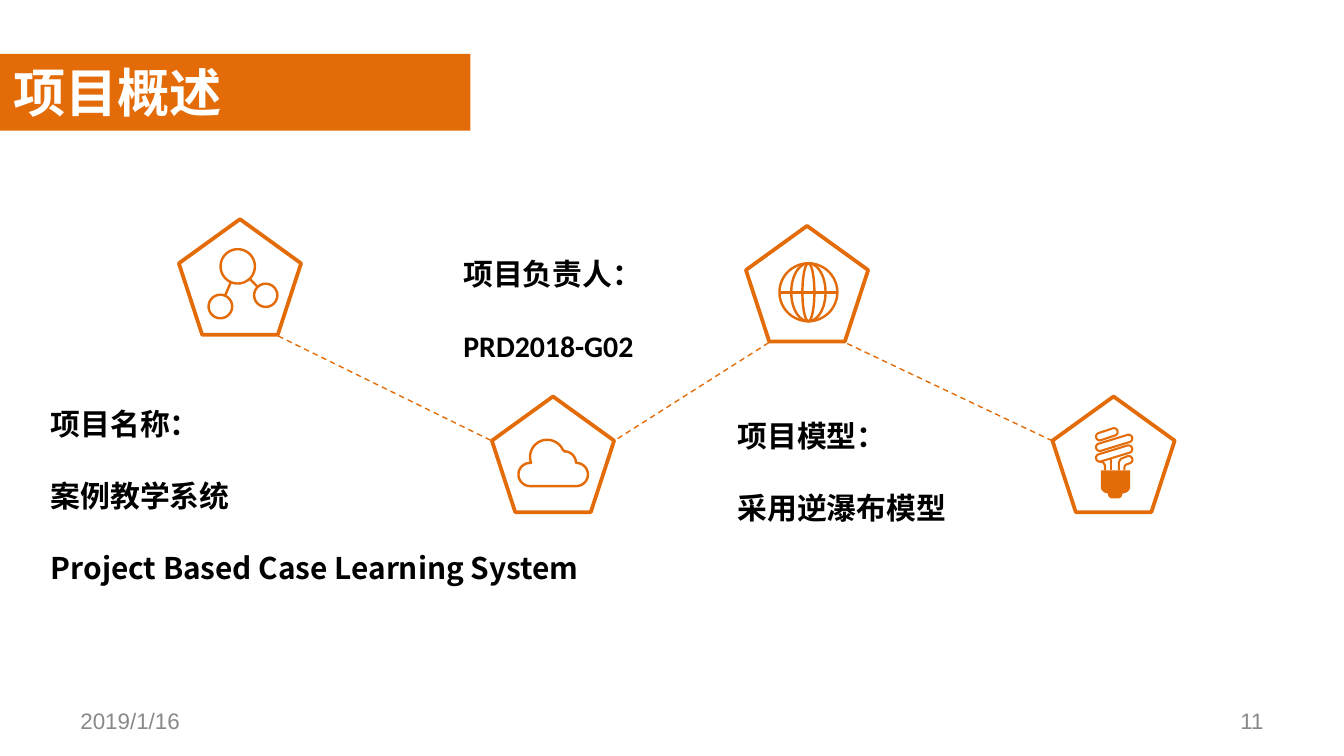
from dataclasses import dataclass
from math import atan2, cos, degrees, dist, radians, sin
from typing import NamedTuple

from lxml import etree
from pptx import Presentation
from pptx.dml.color import RGBColor
from pptx.enum.dml import MSO_LINE
from pptx.enum.shapes import MSO_CONNECTOR, MSO_SHAPE
from pptx.enum.text import MSO_ANCHOR, PP_ALIGN
from pptx.oxml.ns import qn
from pptx.util import Pt

ORANGE = RGBColor(0xE3, 0x6C, 0x09)
WHITE = RGBColor(0xFF, 0xFF, 0xFF)
BLACK = RGBColor(0x00, 0x00, 0x00)
GRAY = RGBColor(0x89, 0x89, 0x89)
PENTAGON_W, PENTAGON_H = 65.5, 62


class Point(NamedTuple):
    x: float
    y: float


class Contour(NamedTuple):
    points: list[Point]
    closed: bool = True


@dataclass
class Icon:
    left: float
    top: float
    contours: list[Contour]
    stroke: float = 1.3
    solid: Contour | None = None


@dataclass
class Label:
    left: float
    top: float
    width: float
    height: float
    lines: list[str]
    fonts: list[str]
    size: float = 16
    color: RGBColor = BLACK
    bold: bool = True
    align: PP_ALIGN = PP_ALIGN.LEFT
    anchor: MSO_ANCHOR = MSO_ANCHOR.TOP
    gap: float = 19.5


# Icon geometry
def arc(c: Point, rx: float, ry: float, start: float, end: float) -> list[Point]:
    steps = max(4, round(abs(end - start) / 6))
    angles = [radians(start + (end - start) * i / steps) for i in range(steps + 1)]
    return [Point(c.x + rx * cos(a), c.y + ry * sin(a)) for a in angles]


def ellipse(c: Point, rx: float, ry: float) -> Contour:
    return Contour(arc(c, rx, ry, 0, 360))


def capsule(a: Point, b: Point, r: float) -> Contour:
    tilt = degrees(atan2(b.y - a.y, b.x - a.x))
    return Contour(arc(a, r, r, tilt + 90, tilt + 270)
                   + arc(b, r, r, tilt - 90, tilt + 90))


def link(a: Point, ra: float, b: Point, rb: float) -> Contour:
    d = dist(a, b)
    ux, uy = (b.x - a.x) / d, (b.y - a.y) / d
    return Contour([Point(a.x + ux * ra, a.y + uy * ra),
                    Point(b.x - ux * rb, b.y - uy * rb)], False)


def network() -> list[Contour]:
    hub, hub_r = Point(127.4, 142.7), 9.2
    nodes = [(Point(118.1, 164.2), 6.3), (Point(142.4, 158.2), 6.2)]
    return ([ellipse(hub, hub_r, hub_r)]
            + [ellipse(c, r, r) for c, r in nodes]
            + [link(hub, hub_r, c, r) for c, r in nodes])


def cloud() -> list[Contour]:
    lobes = [(Point(284, 254.2), 6.2, 90, 270), (Point(293.2, 244.8), 9.2, 160, 335),
             (Point(302.4, 248), 6.2, 270, 360), (Point(308.8, 254.2), 6.2, 270, 450)]
    return [Contour([p for c, r, a, b in lobes for p in arc(c, r, r, a, b)])]


def globe() -> list[Contour]:
    c, r = Point(433.1, 156.6), 15.5
    equator = Contour([Point(c.x - r, c.y), Point(c.x + r, c.y)], False)
    return [ellipse(c, rx, r) for rx in (r, 9.2, 3.2)] + [equator]


def bulb() -> list[Contour]:
    tubes = [(Point(589.2, 233.9), Point(596.8, 231.4)),
             (Point(589.2, 239.6), Point(604.6, 234.9)),
             (Point(589.2, 245.3), Point(604.6, 240.6))]
    left_post = [Point(589, 247.3), Point(591, 247.7), Point(592, 249.2), Point(592, 252)]
    mid_post = [Point(595.3, 245.8), Point(595.3, 252)]
    right_post = ([Point(599.4, 252), Point(599.4, 247.6), Point(600.5, 245.8)]
                  + arc(Point(604.7, 246.3), 2, 2, 255, 435)
                  + [Point(603, 249), Point(602.4, 250.2), Point(602.4, 252)])
    return ([capsule(a, b, 2) for a, b in tubes]
            + [Contour(p, False) for p in (left_post, mid_post, right_post)])


def bulb_base() -> Contour:
    return Contour([Point(589.7, 252), Point(605.5, 252)]
                   + arc(Point(601.9, 260.6), 3.6, 3.6, 0, 90)
                   + arc(Point(599, 264.8), 2.2, 2.2, 0, 90)
                   + arc(Point(595.8, 264.8), 2.2, 2.2, 90, 180)
                   + arc(Point(593.3, 260.6), 3.6, 3.6, 90, 180))


# Drawing
def draw_outline(shapes, contours: list[Contour]):
    first = contours[0].points[0]
    fb = shapes.build_freeform(Pt(first.x), Pt(first.y))
    for i, c in enumerate(contours):
        if i:
            fb.move_to(Pt(c.points[0].x), Pt(c.points[0].y))
        fb.add_line_segments([(Pt(p.x), Pt(p.y)) for p in c.points[1:]], close=c.closed)
    sp = fb.convert_to_shape()
    sp.shadow.inherit = False
    return sp


def stroke_only(sp, width: float) -> None:
    sp.fill.background()
    sp.line.color.rgb = ORANGE
    sp.line.width = Pt(width)


def fill_only(sp) -> None:
    sp.fill.solid()
    sp.fill.fore_color.rgb = ORANGE
    sp.line.fill.background()


def draw_icon(s, icon: Icon) -> None:
    shapes = s.shapes.add_group_shape().shapes
    sp = shapes.add_shape(MSO_SHAPE.REGULAR_PENTAGON, Pt(icon.left), Pt(icon.top),
                          Pt(PENTAGON_W), Pt(PENTAGON_H))
    sp.shadow.inherit = False
    stroke_only(sp, 2)
    stroke_only(draw_outline(shapes, icon.contours), icon.stroke)
    if icon.solid:
        fill_only(draw_outline(shapes, [icon.solid]))


def draw_link(s, a: Point, b: Point) -> None:
    cx = s.shapes.add_connector(MSO_CONNECTOR.STRAIGHT, Pt(a.x), Pt(a.y), Pt(b.x), Pt(b.y))
    cx.line.color.rgb = ORANGE
    cx.line.width = Pt(0.75)
    cx.line.dash_style = MSO_LINE.DASH
    etree.SubElement(cx._element.spPr, qn("a:effectLst"))


def draw_label(s, label: Label) -> None:
    sp = s.shapes.add_textbox(Pt(label.left), Pt(label.top), Pt(label.width), Pt(label.height))
    tf = sp.text_frame
    tf.word_wrap = True
    tf.vertical_anchor = label.anchor
    for i, (line, font) in enumerate(zip(label.lines, label.fonts)):
        p = tf.add_paragraph() if i else tf.paragraphs[0]
        p.alignment = label.align
        if i:
            p.space_before = Pt(label.gap)
        r = p.add_run()
        r.text = line
        r.font.name, r.font.size, r.font.bold = font, Pt(label.size), label.bold
        r.font.color.rgb = label.color


prs = Presentation()
prs.slide_width, prs.slide_height = Pt(720), Pt(405)
s = prs.slides.add_slide(prs.slide_layouts[6])

# Title bar
bar = s.shapes.add_shape(MSO_SHAPE.RECTANGLE, Pt(0), Pt(28.8), Pt(252), Pt(41.2))
bar.shadow.inherit = False
fill_only(bar)

# Pentagon icons and the dashed links between them
for icon in (Icon(95.8, 117.4, network()), Icon(263.5, 212.4, cloud()),
             Icon(563.8, 212.4, bulb(), 1.1, bulb_base()), Icon(399.6, 121, globe())):
    draw_icon(s, icon)
for a, b in ((Point(149, 180), Point(263.5, 236.2)), (Point(411.8, 183.6), Point(329, 236.2)),
             (Point(563.8, 236.2), Point(452.9, 183.6))):
    draw_link(s, a, b)

# Title, project facts and footer
for label in (
    Label(0, 28.8, 252, 41.2, ["项目概述"], ["Calibri"], 28, WHITE),
    Label(20.2, 213.8, 323.3, 104.4,
          ["项目名称：", "案例教学系统", "Project Based Case Learning System"],
          ["Noto Sans CJK SC", "Noto Sans CJK SC", "Noto Sans CJK TC"]),
    Label(241.2, 133.2, 153.4, 65.5, ["项目负责人：", "PRD2018-G02"], ["Calibri"] * 2),
    Label(388.1, 220.3, 153.4, 85, ["项目模型：", "采用逆瀑布模型"], ["Calibri"] * 2),
    Label(36, 375.1, 167.8, 21.6, ["2019/1/16"], ["Arial"], 12, GRAY, False,
          anchor=MSO_ANCHOR.MIDDLE),
    Label(516.2, 375.1, 167.8, 21.6, ["11"], ["Arial"], 12, GRAY, False,
          PP_ALIGN.RIGHT, MSO_ANCHOR.MIDDLE),
):
    draw_label(s, label)

prs.save("out.pptx")
